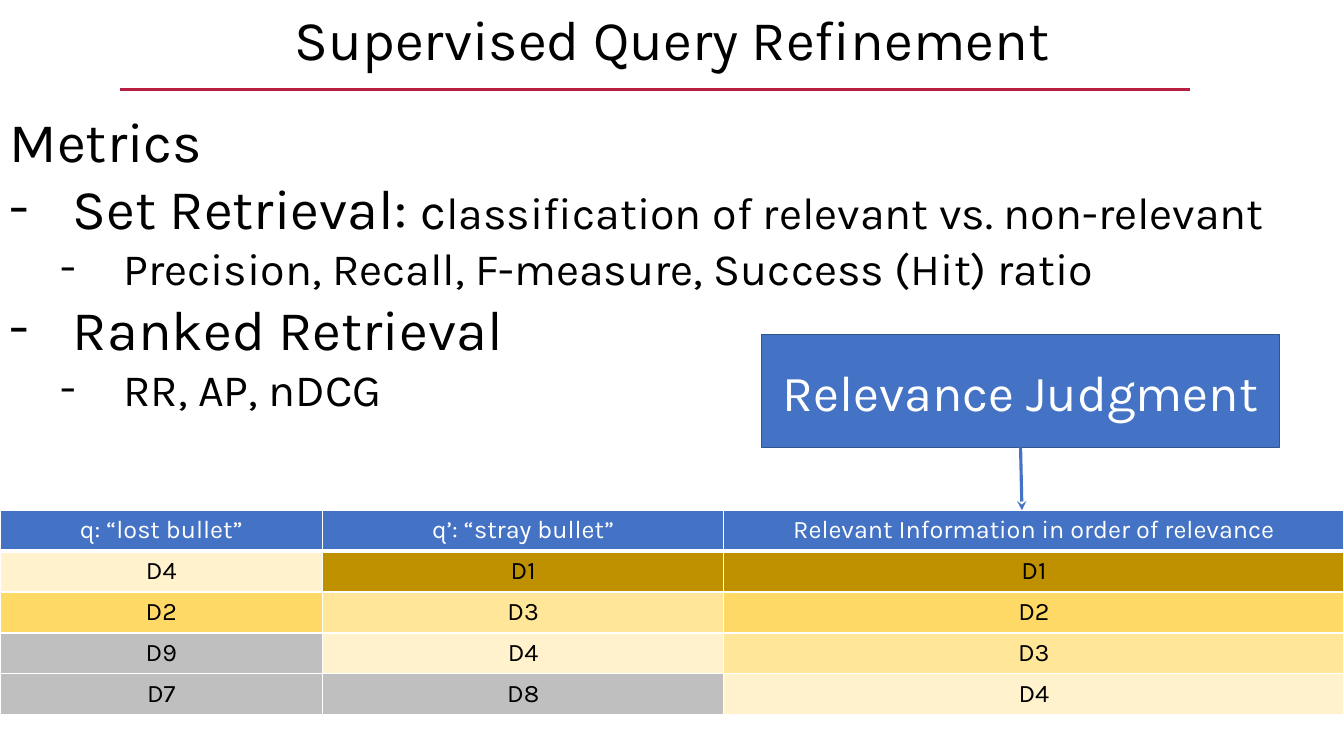
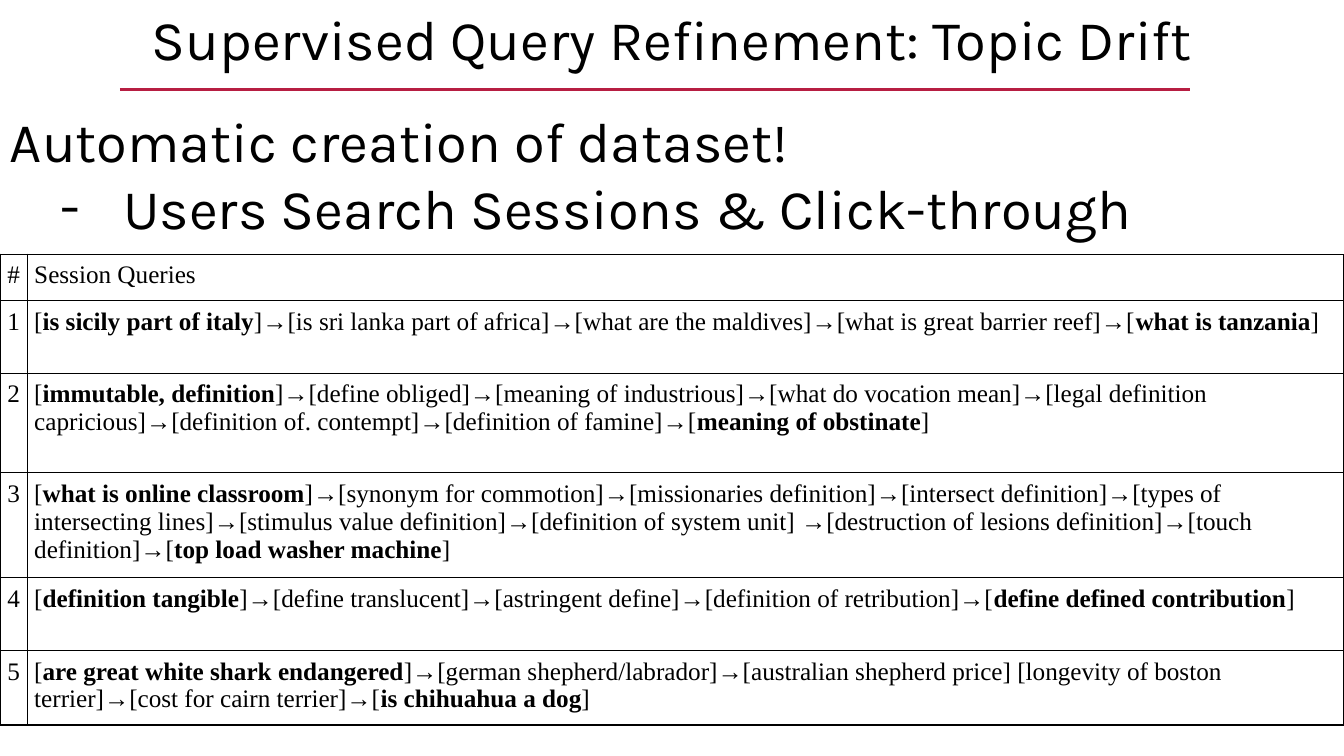
from lxml import etree
from pptx import Presentation
from pptx.dml.color import RGBColor
from pptx.enum import shapes, text
from pptx.oxml import ns
from pptx.util import Pt

WIDTH, HEIGHT = 960, 540
SANS, SERIF = "Karla", "Times New Roman"

BLACK = RGBColor(0x00, 0x00, 0x00)
WHITE = RGBColor(0xFF, 0xFF, 0xFF)
CRIMSON = RGBColor(0xB7, 0x1E, 0x42)
BLUE = RGBColor(0x44, 0x72, 0xC4)
DARK_BLUE = RGBColor(0x32, 0x54, 0x91)
GRAY = RGBColor(0xBF, 0xBF, 0xBF)

# The darker the gold, the more relevant the document
RELEVANCE = {
    "D1": RGBColor(0xBF, 0x90, 0x00),
    "D2": RGBColor(0xFF, 0xD9, 0x66),
    "D3": RGBColor(0xFF, 0xE6, 0x99),
    "D4": RGBColor(0xFF, 0xF2, 0xCC),
}

RANKINGS = [
    ["q: “lost bullet”", "q’: “stray bullet”", "Relevant Information in order of relevance"],
    ["D4", "D1", "D1"],
    ["D2", "D3", "D2"],
    ["D9", "D4", "D3"],
    ["D7", "D8", "D4"],
]

# Asterisks enclose the bold parts
SESSIONS = [
    "Session Queries",
    "[*is sicily part of italy*]→[is sri lanka part of africa]→[what are the maldives]"
    "→[what is great barrier reef]→[*what is tanzania*]",
    "[*immutable, definition*]→[define obliged]→[meaning of industrious]"
    "→[what do vocation mean]→[legal definition capricious]→[definition of. contempt]"
    "→[definition of famine]→[*meaning of obstinate*]",
    "[*what is online classroom*]→[synonym for commotion]→[missionaries definition]"
    "→[intersect definition]→[types of intersecting lines]→[stimulus value definition]"
    "→[definition of system unit] →[destruction of lesions definition]"
    "→[touch definition]→[*top load washer machine*]",
    "[*definition tangible*]→[define translucent]→[astringent define]"
    "→[definition of retribution]→[*define defined contribution*]",
    "[*are great white shark endangered*]→[german shepherd/labrador]"
    "→[australian shepherd price] [longevity of boston terrier]"
    "→[cost for cairn terrier]→[*is chihuahua a dog*]",
]


def add_run(paragraph, words, size, color=BLACK, font=SANS, bold=False):
    run = paragraph.add_run()
    run.text = words
    run.font.size = Pt(size)
    run.font.name = font
    run.font.bold = bold
    run.font.color.rgb = color


def add_line(slide, start, end, color, width, arrow=False):
    line = slide.shapes.add_connector(
        shapes.MSO_CONNECTOR.STRAIGHT, *(Pt(value) for value in start + end))
    line.line.color.rgb = color
    line.line.width = Pt(width)
    if arrow:
        etree.SubElement(line.line._get_or_add_ln(), ns.qn("a:tailEnd"), type="stealth")
    etree.SubElement(line._element.spPr, ns.qn("a:effectLst"))
    return line


def add_text_box(slide, left, top, width, height):
    box = slide.shapes.add_textbox(Pt(left), Pt(top), Pt(width), Pt(height))
    box.text_frame.word_wrap = True
    return box.text_frame


def add_title(slide, title):
    """Centred title over a crimson rule."""
    paragraph = add_text_box(slide, 0, 0, WIDTH, 55.7).paragraphs[0]
    paragraph.alignment = text.PP_ALIGN.CENTER
    add_run(paragraph, title, 40)
    add_line(slide, (85.7, 64), (850.3, 64), CRIMSON, 2.5)


def add_outline(slide, top, height, items):
    """Items are (level, [(words, size), ...]); level None has no dash."""
    frame = add_text_box(slide, 0, top, WIDTH, height)
    for index, (level, parts) in enumerate(items):
        paragraph = frame.add_paragraph() if index else frame.paragraphs[0]
        if level is not None:
            paragraph.level = level
            properties = paragraph._p.get_or_add_pPr()
            properties.set("marL", str(Pt(45 + 36 * level)))
            properties.set("indent", str(Pt(-45)))
            etree.SubElement(properties, ns.qn("a:buFont"), typeface=SANS)
            etree.SubElement(properties, ns.qn("a:buChar"), char="-")
        for words, size in parts:
            add_run(paragraph, words, size)


def add_plain_table(slide, top, columns, rows):
    frame = slide.shapes.add_table(
        len(rows), len(columns), 0, Pt(top), Pt(sum(columns)), Pt(sum(rows)))
    table = frame.table
    table.first_row = table.horz_banding = False
    for column, width in zip(table.columns, columns):
        column.width = Pt(width)
    for row, height in zip(table.rows, rows):
        row.height = Pt(height)
    return table


def set_borders(cell, color, top=1, bottom=1):
    properties = cell._tc.get_or_add_tcPr()
    widths = {"lnL": 1, "lnR": 1, "lnT": top, "lnB": bottom}
    for index, (side, width) in enumerate(widths.items()):
        border = etree.Element(ns.qn("a:" + side), w=str(Pt(width)))
        fill = etree.SubElement(border, ns.qn("a:solidFill"))
        etree.SubElement(fill, ns.qn("a:srgbClr"), val=str(color))
        properties.insert(index, border)


def add_ranking_table(slide, top):
    table = add_plain_table(slide, top, [230.4, 286.6, 443], [29.2] * len(RANKINGS))
    for row, entries in enumerate(RANKINGS):
        for column, entry in enumerate(entries):
            cell = table.cell(row, column)
            cell.fill.solid()
            cell.fill.fore_color.rgb = RELEVANCE.get(entry, GRAY) if row else BLUE
            set_borders(cell, WHITE, top=3 if row == 1 else 1, bottom=1 if row else 3)
            paragraph = cell.text_frame.paragraphs[0]
            paragraph.alignment = text.PP_ALIGN.CENTER
            add_run(paragraph, entry, 18, BLACK if row else WHITE)


def add_session_table(slide, top):
    table = add_plain_table(slide, top, [19.5, 940.5], [33.3, 52, 71, 75, 52, 52])
    for row, session in enumerate(SESSIONS):
        for column, entry in enumerate([str(row) if row else "#", session]):
            cell = table.cell(row, column)
            cell.fill.background()
            set_borders(cell, BLACK)
            cell.margin_left = cell.margin_right = Pt(5)
            cell.margin_top = cell.margin_bottom = Pt(5)
            paragraph = cell.text_frame.paragraphs[0]
            if column == 0:
                paragraph.alignment = text.PP_ALIGN.CENTER
            for index, part in enumerate(entry.split("*")):
                add_run(paragraph, part, 18, font=SERIF, bold=index % 2 == 1)


def add_judgment_box(slide, left, top, width, height, arrow_end):
    """Blue box with an arrow down to the table."""
    box = slide.shapes.add_shape(
        shapes.MSO_SHAPE.RECTANGLE, Pt(left), Pt(top), Pt(width), Pt(height))
    box.shadow.inherit = False
    box.fill.solid()
    box.fill.fore_color.rgb = BLUE
    box.line.color.rgb = DARK_BLUE
    box.line.width = Pt(1)
    box.text_frame.word_wrap = True
    box.text_frame.vertical_anchor = text.MSO_ANCHOR.MIDDLE
    paragraph = box.text_frame.paragraphs[0]
    paragraph.alignment = text.PP_ALIGN.CENTER
    add_run(paragraph, "Relevance Judgment", 36, WHITE)
    arrow = add_line(slide, (left + width / 2, top + height), arrow_end, BLUE, 2.25, arrow=True)
    arrow.begin_connect(box, 2)


def build_metrics_slide(slide):
    add_title(slide, "Supervised Query Refinement")
    add_outline(slide, 72.7, 230.4, [
        (None, [("Metrics", 40)]),
        (0, [("Set Retrieval: ", 40), ("c", 36),
             ("lassification of relevant vs. non-relevant", 32)]),
        (1, [("Precision, Recall, F-measure, Success (Hit) ratio", 32)]),
        (0, [("Ranked Retrieval", 40)]),
        (1, [("RR, AP, nDCG", 32)]),
    ])
    table_top = 364.5
    add_ranking_table(slide, table_top)
    add_judgment_box(slide, 544, 239, 370, 80.5, (730, table_top))


def build_drift_slide(slide):
    add_title(slide, "Supervised Query Refinement: Topic Drift")
    add_outline(slide, 72.7, 152.6, [
        (None, [("Automatic creation of dataset!", 40)]),
        (1, [("Users Search Sessions & Click-through", 40)]),
    ])
    add_session_table(slide, 181.5)


def main():
    presentation = Presentation()
    presentation.slide_width, presentation.slide_height = Pt(WIDTH), Pt(HEIGHT)
    for build in (build_metrics_slide, build_drift_slide):
        build(presentation.slides.add_slide(presentation.slide_layouts[6]))
    presentation.save("out.pptx")


if __name__ == "__main__":
    main()
